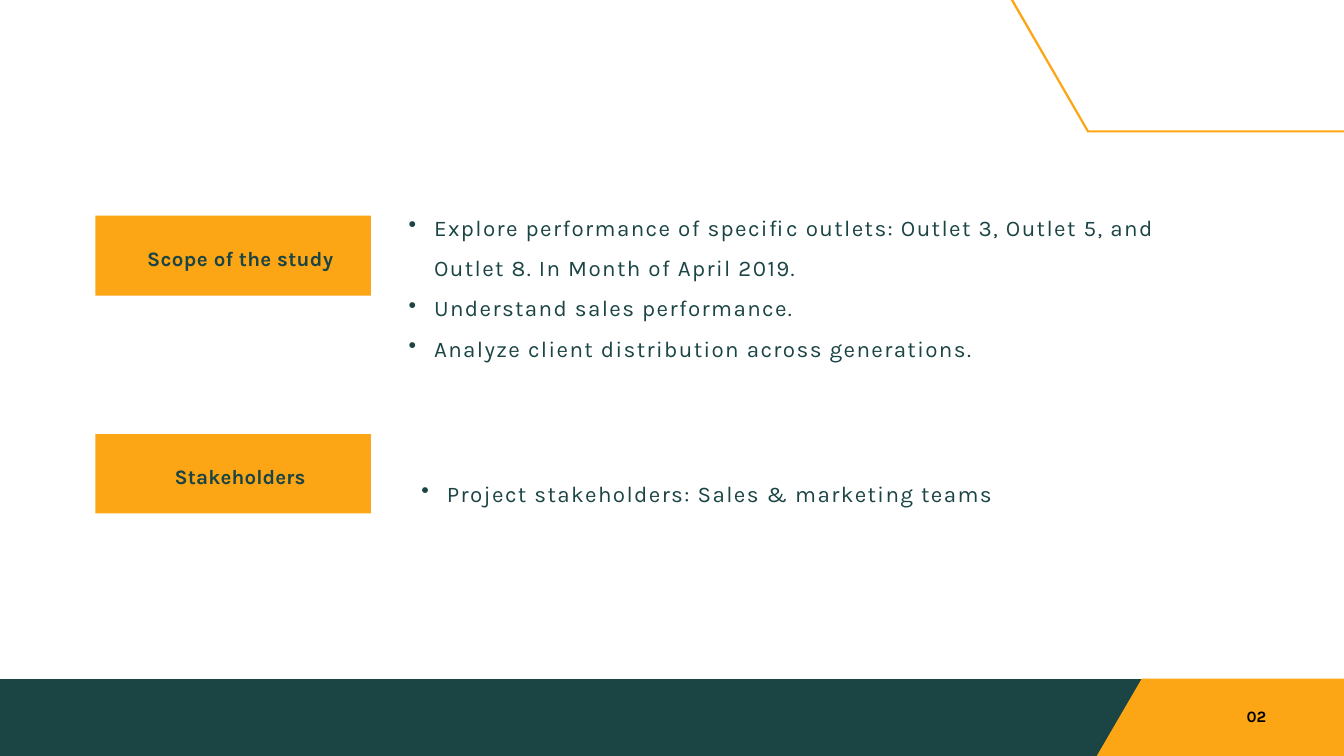
"""Build the scope and stakeholders slide."""
from typing import NamedTuple

from pptx import Presentation
from pptx.dml.color import RGBColor
from pptx.enum import shapes, text
from pptx.util import Inches, Pt

GREEN = RGBColor(0x1B, 0x44, 0x44)
ORANGE = RGBColor(0xFD, 0xA6, 0x15)
BLACK = RGBColor(0, 0, 0)
FONT = "Karla"


class Outline(NamedTuple):
    points: list[tuple[float, float]]
    color: RGBColor


class Span(NamedTuple):
    words: str
    spacing: float


class Label(NamedTuple):
    top: float
    height: float
    spans: list[Span]


class Bullets(NamedTuple):
    left: float
    top: float
    width: float
    height: float
    items: list[str]


BAR = Outline([(0, 10.1), (17.2, 10.1), (17.2, 11.25), (0, 11.25)], GREEN)
CORNER = Outline([(16.99, 10.1), (20, 10.1), (20, 11.25), (16.32, 11.25)], ORANGE)
ANGLE = Outline([(16.18, 1.97), (20, 1.97), (20, 1.94), (16.2, 1.94),
                 (15.08, 0), (15.04, 0)], ORANGE)
LABELS = [
    Label(3.21, 1.19, [Span("Scope ", 0.5), Span("of ", 0.2), Span("the study", 0.4)]),
    Label(6.46, 1.18, [Span("Stakeholders", 0.2)]),
]
LISTS = [
    Bullets(6.08, 2.97, 11.16, 2.44, [
        "Explore performance of specific outlets: Outlet 3, Outlet 5, and "
        "Outlet 8. In Month of April 2019.",
        "Understand sales performance.",
        "Analyze client distribution across generations.",
    ]),
    Bullets(6.27, 6.93, 9.37, 0.61, ["Project stakeholders: Sales & marketing teams"]),
]


def paint(shape, color: RGBColor) -> None:
    shape.fill.solid()
    shape.fill.fore_color.rgb = color
    shape.line.fill.background()
    shape.shadow.inherit = False


def draw_outline(page, outline: Outline) -> None:
    start, *others = [(Inches(x), Inches(y)) for x, y in outline.points]
    builder = page.shapes.build_freeform(*start, scale=1.0)
    builder.add_line_segments(others, close=True)
    paint(builder.convert_to_shape(), outline.color)


def clear_margins(frame) -> None:
    frame.margin_left = frame.margin_right = frame.margin_bottom = 0
    frame.margin_top = Inches(0.01)


def style(para, size: float, color: RGBColor, bold: bool = False) -> None:
    para.font.name = FONT
    para.font.size = Pt(size)
    para.font.color.rgb = color
    para.font.bold = bold


def add_span(para, span: Span) -> None:
    run = para.add_run()
    run.text = span.words
    run.font._element.set("spc", str(round(span.spacing * 100)))


def draw_label(page, label: Label) -> None:
    box = page.shapes.add_shape(shapes.MSO_SHAPE.RECTANGLE, Inches(1.42),
                                Inches(label.top), Inches(4.1), Inches(label.height))
    paint(box, ORANGE)
    frame = box.text_frame
    clear_margins(frame)
    frame.margin_left = Inches(0.21)
    frame.margin_top = Inches(0.08)
    frame.vertical_anchor = text.MSO_ANCHOR.MIDDLE
    para = frame.paragraphs[0]
    para.alignment = text.PP_ALIGN.CENTER
    style(para, 22, GREEN, bold=True)
    for span in label.spans:
        add_span(para, span)


def add_text_frame(page, left: float, top: float, width: float, height: float):
    box = page.shapes.add_textbox(Inches(left), Inches(top), Inches(width), Inches(height))
    frame = box.text_frame
    frame.word_wrap = True
    clear_margins(frame)
    return frame


def draw_bullets(page, bullets: Bullets) -> None:
    frame = add_text_frame(page, *bullets[:4])
    for index, item in enumerate(bullets.items):
        para = frame.add_paragraph() if index else frame.paragraphs[0]
        para.line_spacing = 1.5
        style(para, 24, GREEN)
        add_span(para, Span(item, 1.5))
        properties = para._p.get_or_add_pPr()
        properties.set("marL", str(Inches(0.38)))
        properties.set("indent", str(-Inches(0.38)))
        bullet = properties.makeelement(
            "{http://schemas.openxmlformats.org/drawingml/2006/main}buChar", {"char": "•"})
        properties.find("{*}defRPr").addprevious(bullet)


def draw_page_number(page, number: str) -> None:
    para = add_text_frame(page, 18.55, 10.51, 0.34, 0.3).paragraphs[0]
    para.text = number
    para.space_before = Pt(1)
    style(para, 17, BLACK, bold=True)


def main() -> None:
    deck = Presentation()
    deck.slide_width, deck.slide_height = Inches(20), Inches(11.25)
    page = deck.slides.add_slide(deck.slide_layouts[6])
    for outline in (BAR, CORNER, ANGLE):
        draw_outline(page, outline)
    for label in LABELS:
        draw_label(page, label)
    for bullets in LISTS:
        draw_bullets(page, bullets)
    draw_page_number(page, "02")
    deck.save("out.pptx")


if __name__ == "__main__":
    main()
